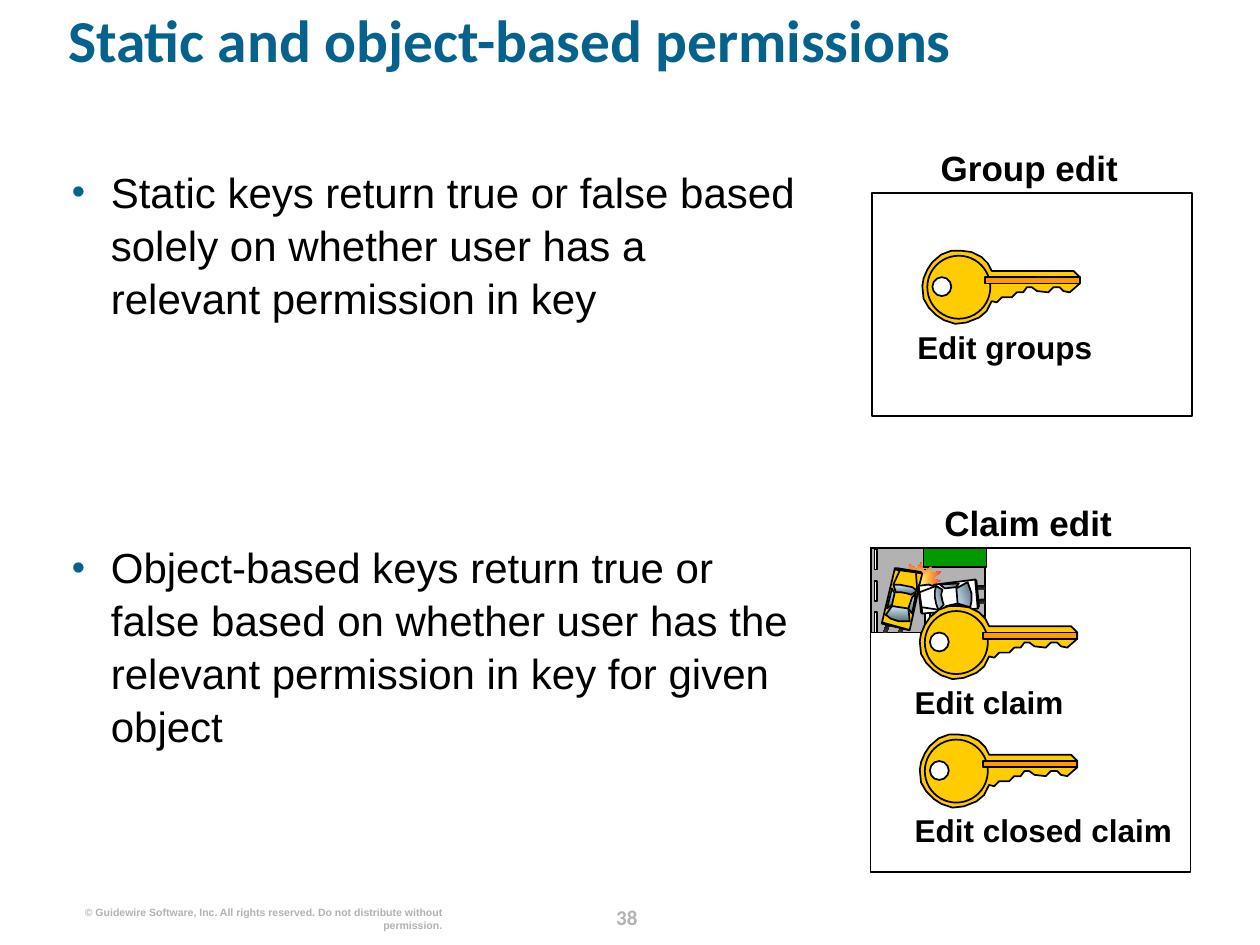
from lxml.etree import SubElement
from pptx import Presentation
from pptx.dml.color import RGBColor
from pptx.enum.shapes import MSO_CONNECTOR, MSO_SHAPE
from pptx.enum.text import MSO_ANCHOR, PP_ALIGN
from pptx.oxml.ns import qn
from pptx.util import Inches, Pt

BLACK, WHITE, GRAY, TEAL = "000000", "FFFFFF", "B2B2B2", "04628C"
GOLD, ORANGE, GREEN = "FFCC00", "FF9900", "009900"
TIRE = ("000000", "333333", 270)
GLASS = ("CCECFF", "5E6D76", 270)
TURNED_GLASS = ("CCECFF", "5E6D76", 18.5)
BLAST = ("FFFF66", "FF0000", 0)

TITLE = "Static and object-based permissions"
BULLETS = [
    "Static keys return true or false based solely on whether user has a relevant permission in key",
    "Object-based keys return true or false based on whether user has the relevant permission in key for given object",
]
BULLET_GAP = 124
COPYRIGHT = "© Guidewire Software, Inc. All rights reserved. Do not distribute without permission."
PAGE = "38"

PANELS = [
    {"heading": "Claim edit", "box": (6.91, 4.35, 2.54, 2.57), "scene": True,
     "keys": [("Edit claim", 7.30, 4.81), ("Edit closed claim", 7.30, 5.83)]},
    {"heading": "Group edit", "box": (6.92, 1.53, 2.54, 1.77), "scene": False,
     "keys": [("Edit groups", 7.32, 1.99)]},
]

KEY_OUTLINE = [
    (55, 16), (52, 10), (47, 5), (39, 1), (31, 0), (23, 0), (15, 3), (8, 9), (4, 15),
    (1, 22), (0, 28), (1, 38), (5, 45), (11, 51), (17, 55), (26, 58), (35, 57), (45, 53),
    (51, 48), (55, 40), (59, 41), (63, 37), (71, 37), (75, 33), (80, 33), (83, 29),
    (87, 29), (91, 32), (100, 33), (104, 29), (109, 29), (112, 32), (117, 33), (125, 26),
    (125, 21), (120, 16)]

ROAD = [
    (6.91, 4.35, 0.91, 0.67, GRAY), (7.33, 4.35, 0.50, 0.15, GREEN),
    (7.34, 4.52, 0.04, 0.51, WHITE), (7.455, 4.885, 0.15, 0.02, WHITE),
    (7.655, 4.885, 0.15, 0.02, WHITE)]
LANE_MARKS = [(6.94, top, 0.02, 0.16, WHITE) for top in (4.36, 4.61, 4.86)]

TIRES = [
    [(769, 468), (782, 468), (782, 464), (769, 465)],
    [(769, 479), (782, 479), (782, 475), (769, 476)],
    [(705, 490), (701, 502), (704, 502), (708, 491)],
    [(716, 493), (713, 502), (716, 502), (719, 493)]]
CAR_PARTS = [
    (GRAY, [(700, 494), (722, 499), (721, 500), (700, 495)]),
    (GRAY, [(774, 460), (776, 483), (777, 481), (775, 461)]),
    (GOLD, [(710, 452), (700, 494), (722, 500), (729, 468), (729, 465), (730, 463), (732, 455)]),
    (GLASS, [(709, 464), (711, 470), (715, 470), (720, 471), (723, 472), (728, 469),
             (724, 466), (719, 465), (714, 464), (711, 464)]),
    (GLASS, [(708, 481), (703, 488), (707, 491), (713, 493), (722, 493), (721, 483)]),
    (GLASS, [(724, 474), (727, 471), (724, 487), (721, 483)]),
    (GLASS, [(710, 471), (708, 480), (704, 483), (708, 467)]),
    (WHITE, [(732, 487), (776, 483), (774, 460), (742, 464), (740, 465), (737, 464), (729, 465)]),
    (TURNED_GLASS, [(745, 484), (749, 480), (748, 477), (747, 472), (748, 468), (743, 465),
                    (742, 469), (742, 474), (743, 479), (744, 482)]),
    (TURNED_GLASS, [(760, 479), (770, 482), (771, 477), (771, 471), (768, 462), (759, 467)]),
    (TURNED_GLASS, [(750, 467), (746, 464), (761, 463), (759, 466)]),
    (TURNED_GLASS, [(751, 481), (760, 479), (764, 482), (748, 484)]),
    (GRAY, [(732, 487), (729, 465), (729, 467), (731, 486)]),
    (GRAY, [(710, 451), (712, 451), (731, 454), (731, 455)])]
HOOD_LINES = [
    (7.09, 4.64, 7.14, 4.53), (7.28, 4.69, 7.27, 4.55),
    (7.45, 4.84, 7.32, 4.82), (7.43, 4.65, 7.30, 4.70)]


def color(value):
    """Turn a hex string into a colour."""
    return RGBColor.from_string(value)


def paint(shape, fill, line=BLACK):
    """Give a shape a solid or two-colour fill and a thin line."""
    shape.shadow.inherit = False
    if isinstance(fill, tuple):
        start, end, angle = fill
        shape.fill.gradient()
        shape.fill.gradient_angle = angle
        for stop, value in zip(shape.fill.gradient_stops, (start, end)):
            stop.color.rgb = color(value)
    else:
        shape.fill.solid()
        shape.fill.fore_color.rgb = color(fill)
    if line:
        shape.line.color.rgb = color(line)
        shape.line.width = Pt(1)
    else:
        shape.line.fill.background()
    return shape


def add_preset(slide, kind, left, top, width, height, fill, line=BLACK):
    """Add a painted preset shape placed in inches."""
    shape = slide.shapes.add_shape(kind, *map(Inches, (left, top, width, height)))
    return paint(shape, fill, line)


def add_outline(slide, points, fill, line=BLACK, left=0, top=0):
    """Add a closed outline whose points are hundredths of an inch."""
    builder = slide.shapes.build_freeform(*points[0], scale=Inches(0.01))
    builder.add_line_segments(points[1:], close=True)
    return paint(builder.convert_to_shape(Inches(left), Inches(top)), fill, line)


def add_text(slide, box, *texts, size, font="Arial", fill=BLACK, bold=True,
             align=PP_ALIGN.LEFT, spacing=None, gap=0, bullet=False):
    """Add a text box with one paragraph for each text."""
    frame = slide.shapes.add_textbox(*map(Inches, box)).text_frame
    frame.word_wrap = True
    frame.vertical_anchor = MSO_ANCHOR.TOP
    frame.margin_left = frame.margin_right = frame.margin_top = frame.margin_bottom = 0
    for index, text in enumerate(texts):
        paragraph = frame.add_paragraph() if index else frame.paragraphs[0]
        paragraph.alignment = align
        paragraph.line_spacing = spacing
        if index:
            paragraph.space_before = Pt(gap)
        if bullet:
            add_bullet(paragraph)
        run = paragraph.add_run()
        run.text = text
        run.font.size, run.font.name, run.font.bold = Pt(size), font, bold
        run.font.color.rgb = color(fill)


def add_bullet(paragraph):
    """Give a paragraph a hanging teal bullet."""
    properties = paragraph._p.get_or_add_pPr()
    properties.set("marL", str(Inches(0.31)))
    properties.set("indent", str(-Inches(0.31)))
    SubElement(SubElement(properties, qn("a:buClr")), qn("a:srgbClr"), val=TEAL)
    SubElement(properties, qn("a:buSzPct"), val="90000")
    SubElement(properties, qn("a:buFont"), typeface="Arial")
    SubElement(properties, qn("a:buChar"), char="•")


def add_blast(slide):
    """Add the collision burst with a fill that spreads from its centre."""
    blast = add_preset(slide, MSO_SHAPE.EXPLOSION2, 7.13, 4.44, 0.34, 0.35, BLAST, None)
    blast.rotation = 44.7
    gradient = blast._element.spPr.find(qn("a:gradFill"))
    gradient.remove(gradient.find(qn("a:lin")))
    path = SubElement(gradient, qn("a:path"), {"path": "shape"})
    SubElement(path, qn("a:fillToRect"), {side: "50000" for side in "ltrb"})


def add_scene(slide):
    """Draw the two collided cars on the road."""
    for *box, fill in ROAD + LANE_MARKS:
        add_preset(slide, MSO_SHAPE.RECTANGLE, *box, fill)
    for points in TIRES:
        add_outline(slide, points, TIRE, None)
    add_blast(slide)
    for fill, points in CAR_PARTS:
        add_outline(slide, points, fill)
    for ends in HOOD_LINES:
        line = slide.shapes.add_connector(MSO_CONNECTOR.STRAIGHT, *map(Inches, ends))
        line.line.color.rgb = color(BLACK)
        line.line.width = Pt(1)
        SubElement(line._element.spPr, qn("a:effectLst"))


def add_key(slide, label, left, top):
    """Draw a gold key with its label below."""
    add_outline(slide, KEY_OUTLINE, GOLD, left=left, top=top)
    add_preset(slide, MSO_SHAPE.OVAL, left + 0.04, top + 0.04, 0.5, 0.5, GOLD)
    add_preset(slide, MSO_SHAPE.OVAL, left + 0.08, top + 0.21, 0.15, 0.15, WHITE)
    add_preset(slide, MSO_SHAPE.RECTANGLE, left + 0.5, top + 0.21, 0.75, 0.05, ORANGE)
    add_text(slide, (left - 0.04, top + 0.61, 2.09, 0.3), label, size=18)


def add_panel(slide, panel):
    """Draw a headed box with its keys."""
    left, top, width, height = panel["box"]
    add_preset(slide, MSO_SHAPE.RECTANGLE, left, top, width, height, WHITE)
    add_text(slide, (left + 0.03, top - 0.37, width - 0.1, 0.33), panel["heading"],
             size=20, align=PP_ALIGN.CENTER)
    if panel["scene"]:
        add_scene(slide)
    for key in panel["keys"]:
        add_key(slide, *key)


def main():
    """Build and save the slide."""
    presentation = Presentation()
    presentation.slide_width, presentation.slide_height = Inches(10), Inches(7.5)
    slide = presentation.slides.add_slide(presentation.slide_layouts[6])
    add_text(slide, (4.69, 7.13, 0.57, 0.25), PAGE, size=12, font="Calibri", fill=GRAY,
             align=PP_ALIGN.CENTER, spacing=Pt(18))
    add_text(slide, (0.61, 7.19, 2.9, 0.2), COPYRIGHT, size=6, fill=GRAY, align=PP_ALIGN.RIGHT)
    add_text(slide, (0.54, 0.13, 9.1, 0.81), TITLE, size=34, font="Calibri", fill=TEAL, spacing=0.8)
    add_text(slide, (0.57, 1.3, 5.78, 5.68), *BULLETS, size=24, bold=False,
             spacing=1.05, gap=BULLET_GAP, bullet=True)
    for panel in PANELS:
        add_panel(slide, panel)
    presentation.save("out.pptx")


if __name__ == "__main__":
    main()
